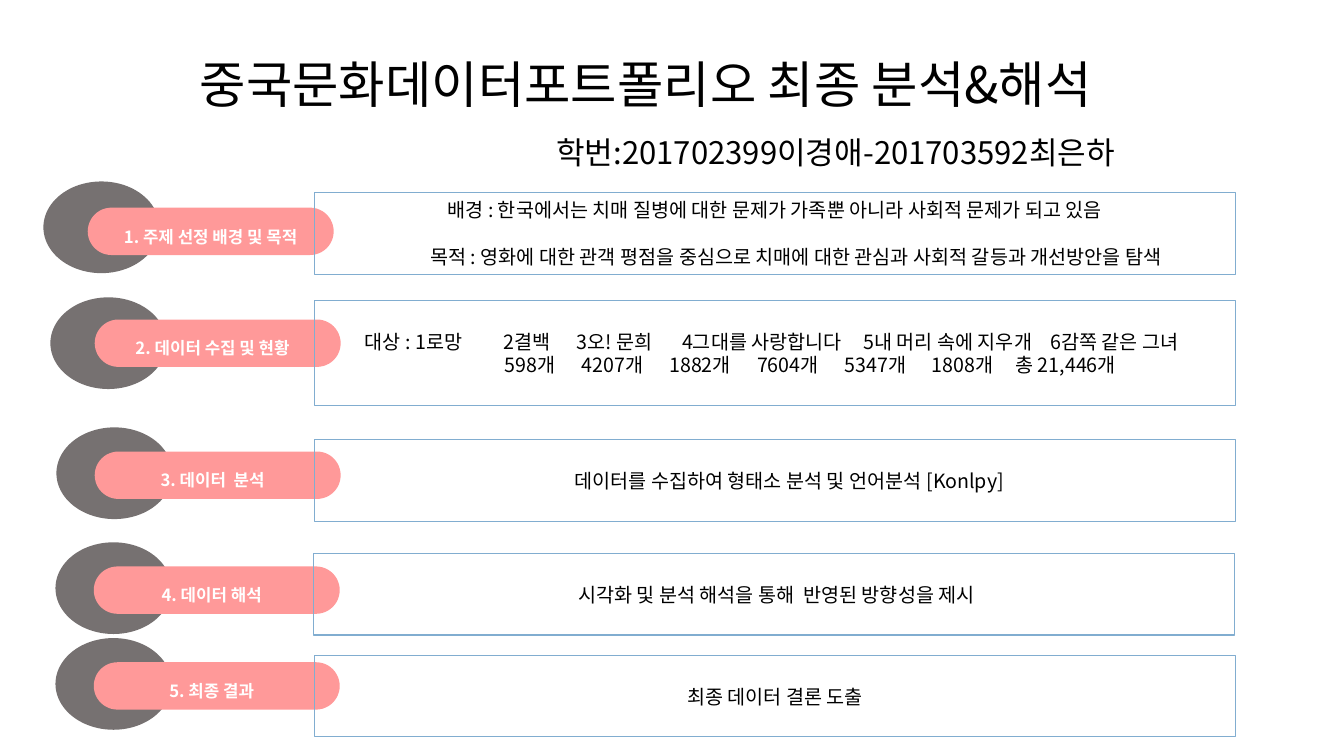
import dataclasses
import pptx
import pptx.util
import pptx.dml.color
import pptx.enum.shapes
import pptx.enum.text
import pptx.oxml.ns
import lxml.etree

SHAPE = pptx.enum.shapes.MSO_SHAPE
ANCHOR = pptx.enum.text.MSO_ANCHOR
ALIGN = pptx.enum.text.PP_ALIGN


@dataclasses.dataclass(frozen=True)
class Theme:
    font: str = "Noto Sans CJK KR"
    ink: str = "000000"
    white: str = "FFFFFF"
    grey: str = "767171"
    pink: str = "FF9999"
    border: str = "81ADD0"
    title: float = 36
    subtitle: float = 22.2
    body: float = 14
    label: float = 12


def color(value):
    return pptx.dml.color.RGBColor.from_string(value)


def assign(target, values):
    for name, value in values.items():
        setattr(target, name, value)


class Canvas:
    """Draws on one slide, with lengths as percentages of its width and height."""

    def __init__(self, deck, theme):
        self.deck, self.theme = deck, theme
        self.page = deck.slides.add_slide(deck.slide_layouts[6])

    def across(self, share):
        return round(self.deck.slide_width * share / 100)

    def down(self, share):
        return round(self.deck.slide_height * share / 100)

    def place(self, left, top, width, height):
        return self.across(left), self.down(top), self.across(width), self.down(height)

    def frame(self, box, anchor, left=0.75, top=0.67, right=0.75, bottom=0.67):
        assign(box.text_frame, {
            "word_wrap": True, "vertical_anchor": anchor,
            "margin_left": self.across(left), "margin_right": self.across(right),
            "margin_top": self.down(top), "margin_bottom": self.down(bottom),
        })

    def letter(self, para, text, size, ink, bold=False, indent=0, stops=(), **layout):
        assign(para, {"alignment": ALIGN.LEFT if stops else ALIGN.CENTER, **layout})
        properties = para._p.get_or_add_pPr()
        if indent:
            properties.set("marL", str(self.across(indent)))
        if stops:
            tabs = lxml.etree.SubElement(properties, pptx.oxml.ns.qn("a:tabLst"))
            for stop in stops:
                lxml.etree.SubElement(tabs, pptx.oxml.ns.qn("a:tab"),
                                      pos=str(self.across(stop)), algn="l")
        span = para.add_run()
        span.text = text
        assign(span.font, {"name": self.theme.font, "size": pptx.util.Pt(size), "bold": bold})
        span.font.color.rgb = color(ink)
        lxml.etree.SubElement(span._r.get_or_add_rPr(), pptx.oxml.ns.qn("a:ea"),
                              typeface=self.theme.font)

    def heading(self, area, text, size, anchor, spacing):
        box = self.page.shapes.add_textbox(*self.place(*area))
        self.frame(box, anchor)
        self.letter(box.text_frame.paragraphs[0], text, size, self.theme.ink,
                    line_spacing=spacing)

    def shape(self, kind, area, fill=None, line=None):
        box = self.page.shapes.add_shape(kind, *self.place(*area))
        box.shadow.inherit = False
        if fill:
            box.fill.solid()
            box.fill.fore_color.rgb = color(fill)
        else:
            box.fill.background()
        if line:
            box.line.color.rgb = color(line)
            box.line.width = pptx.util.Pt(0.75)
        else:
            box.line.fill.background()
        return box

    def oval(self, left, top):
        self.shape(SHAPE.OVAL, (left, top, 8.63, 12.13), self.theme.grey)

    def pill(self, left, top, text, right):
        box = self.shape(SHAPE.ROUNDED_RECTANGLE, (left, top, 18.3, 6.27), self.theme.pink)
        box.adjustments[0] = 0.5
        self.frame(box, ANCHOR.MIDDLE, top=0, right=right, bottom=0)
        self.letter(box.text_frame.paragraphs[0], text, self.theme.label, self.theme.white,
                    True, line_spacing=1.5)

    def panel(self, area, lines, **insets):
        box = self.shape(SHAPE.RECTANGLE, area, line=self.theme.border)
        self.frame(box, ANCHOR.TOP, **insets)
        for index, line in enumerate(lines):
            para = box.text_frame.paragraphs[0] if index == 0 else box.text_frame.add_paragraph()
            self.letter(para, size=self.theme.body, ink=self.theme.ink, **line)


LOWERED = {"top": 3.87}
STEPS = [
    {"oval": (3.23, 24), "pill": (6.53, 27.47), "label": "1. 주제 선정 배경 및 목적", "right": 0.75,
     "panel": (23.4, 25.47, 68.55, 10.8), "insets": {},
     "lines": [
         {"text": "배경 : 한국에서는 치매 질병에 대한 문제가 가족뿐 아니라 사회적 문제가 되고 있음"},
         {"text": "목적 : 영화에 대한 관객 평점을 중심으로 치매에 대한 관심과 사회적 갈등과 개선방안을 탐색",
          "indent": 3.15, "space_before": pptx.util.Pt(17)}]},
    {"oval": (3.75, 39.33), "pill": (7.05, 42.27), "label": "2. 데이터 수집 및 현황", "right": 1.5,
     "panel": (23.4, 39.73, 68.55, 13.87), "insets": {**LOWERED, "left": 3.75},
     "lines": [
         {"text": "대상 : 1로망\t2결백\t3오! 문희\t4그대를 사랑합니다\t5내 머리 속에 지우개\t6감쪽 같은 그녀",
          "stops": (10.35, 15.75, 23.6, 37.1, 51)},
         {"text": "\t598개\t4207개\t1882개\t7604개\t5347개\t1808개\t총 21,446개",
          "stops": (10.42, 16.13, 22.65, 29.18, 35.7, 42.15, 48.4)}]},
    {"oval": (4.2, 56.53), "pill": (7.05, 59.73), "label": "3. 데이터  분석", "right": 1.5,
     "panel": (23.4, 58.13, 68.55, 10.8), "insets": {**LOWERED, "left": 2.85},
     "lines": [{"text": "데이터를 수집하여 형태소 분석 및 언어분석 [Konlpy]"}]},
    {"oval": (4.13, 71.73), "pill": (6.98, 74.93), "label": "4. 데이터 해석", "right": 1.5,
     "panel": (23.33, 73.2, 68.55, 10.8), "insets": {**LOWERED, "left": 1.13},
     "lines": [{"text": "시각화 및 분석 해석을 통해  반영된 방향성을 제시"}]},
    {"oval": (4.13, 84.4), "pill": (6.98, 87.6), "label": "5. 최종 결과", "right": 1.5,
     "panel": (23.4, 86.67, 68.55, 10.8), "insets": LOWERED,
     "lines": [{"text": "최종 데이터 결론 도출"}]},
]


def main():
    deck = pptx.Presentation()
    assign(deck, {"slide_width": pptx.util.Inches(13.33), "slide_height": pptx.util.Inches(7.5)})
    theme = Theme()
    canvas = Canvas(deck, theme)
    canvas.heading((4.13, 4.93, 87.83, 10.93), "중국문화데이터포트폴리오 최종 분석&해석",
                   theme.title, ANCHOR.BOTTOM, 0.9)
    canvas.heading((39.23, 17.87, 45.9, 5.6), "학번:201702399이경애-201703592최은하",
                   theme.subtitle, ANCHOR.TOP, 0.8)
    for step in STEPS:
        canvas.oval(*step["oval"])
        canvas.pill(*step["pill"], step["label"], step["right"])
        canvas.panel(step["panel"], step["lines"], **step["insets"])
    deck.save("out.pptx")


if __name__ == "__main__":
    main()
